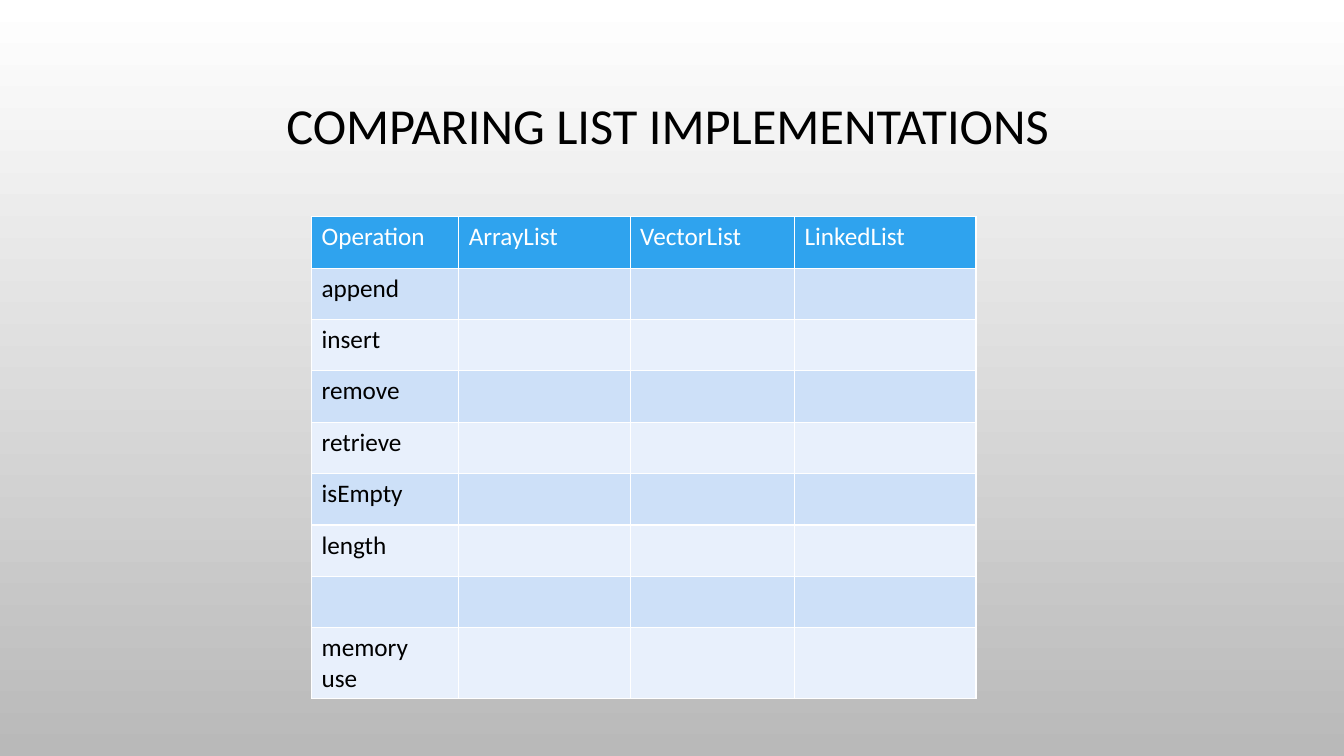
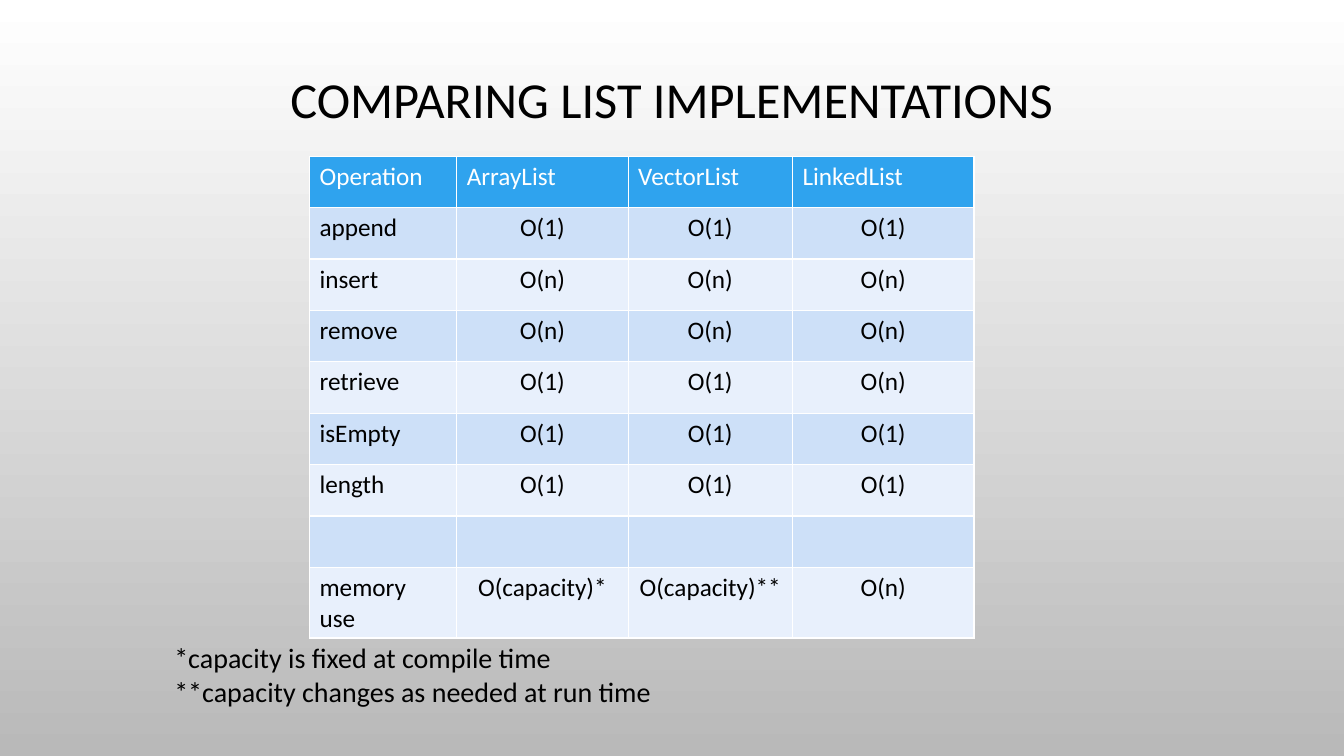
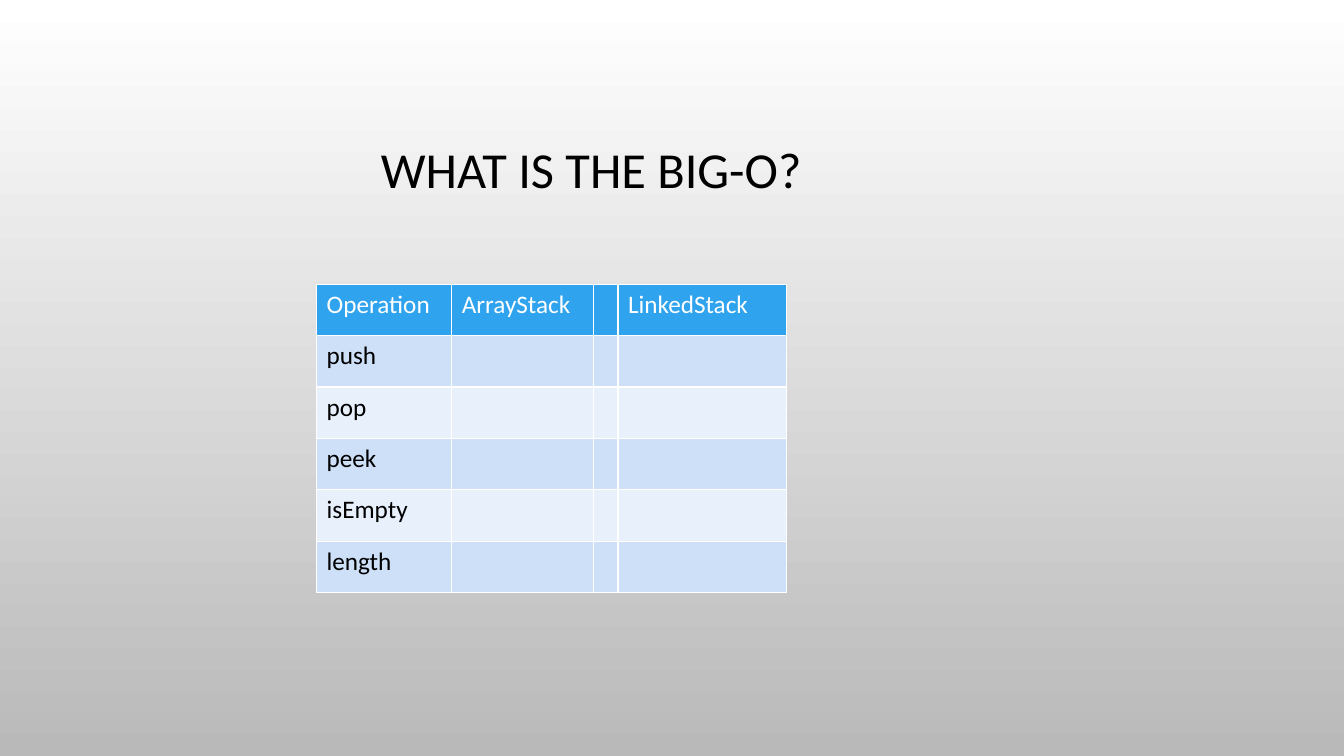
from pptx import Presentation
from pptx.dml.color import RGBColor
from pptx.enum.text import MSO_ANCHOR, PP_ALIGN
from pptx.util import Inches, Pt

WHITE = RGBColor(0xFF, 0xFF, 0xFF)
BLACK = RGBColor(0x00, 0x00, 0x00)
GREY = RGBColor(0xB9, 0xB9, 0xB9)
BLUE = RGBColor(0x2F, 0xA3, 0xEE)
BANDS = [RGBColor(0xE8, 0xF0, 0xFC), RGBColor(0xCD, 0xE0, 0xF8)]

FONT = "Calibri"
ROW_H = 0.51
LIST_COLS = [1.46, 1.7, 1.63, 1.8]
LIST_HEAD = ["Operation", "ArrayList", "VectorList", "LinkedList"]
LIST_TITLE = "COMPARING LIST IMPLEMENTATIONS"
LIST_COSTS = [
    ["append", "O(1)", "O(1)", "O(1)"],
    ["insert", "O(n)", "O(n)", "O(n)"],
    ["remove", "O(n)", "O(n)", "O(n)"],
    ["retrieve", "O(1)", "O(1)", "O(n)"],
    ["isEmpty", "O(1)", "O(1)", "O(1)"],
    ["length", "O(1)", "O(1)", "O(1)"],
    ["", "", "", ""],
    ["memory use", "O(capacity)*", "O(capacity)**", "O(n)"],
]
STACK_COLS = [1.34, 1.41, 0.23, 1.67]
STACK_HEAD = ["Operation", "ArrayStack", "", "LinkedStack"]
STACK_OPS = ["push", "pop", "peek", "isEmpty", "length"]


def paint_master(deck):
    """Give every slide the white-to-grey background."""
    fill = deck.slide_master.background.fill
    fill.gradient()
    fill.gradient_angle = 270
    for stop, color in zip(fill.gradient_stops, [WHITE, GREY]):
        stop.color.rgb = color


def set_font(para, size, color=BLACK):
    para.font.name = FONT
    para.font.size = Pt(size)
    para.font.color.rgb = color


def add_text(slide, text, left, top, width, height, size):
    box = slide.shapes.add_textbox(
        Inches(left), Inches(top), Inches(width), Inches(height))
    frame = box.text_frame
    frame.word_wrap = True
    frame.text = text
    for para in frame.paragraphs:
        set_font(para, size)
    return frame


def add_title(slide, text, left, top):
    frame = add_text(slide, text, left, top, 11.33, 1.75, 36)
    frame.vertical_anchor = MSO_ANCHOR.MIDDLE
    para = frame.paragraphs[0]
    para.alignment = PP_ALIGN.CENTER
    para.line_spacing = 0.9


def fill_cell(cell, text, fill, color, align):
    cell.fill.solid()
    cell.fill.fore_color.rgb = fill
    cell.text = text
    para = cell.text_frame.paragraphs[0]
    para.alignment = align
    set_font(para, 18, color)


def add_grid(slide, left, top, widths, head, body):
    rows = [head] + body
    table = slide.shapes.add_table(
        len(rows), len(widths), Inches(left), Inches(top),
        Inches(sum(widths)), Inches(ROW_H * len(rows))).table
    for col, width in zip(table.columns, widths):
        col.width = Inches(width)
    for r, row in enumerate(rows):
        table.rows[r].height = Inches(ROW_H)
        fill, color = (BANDS[r % 2], BLACK) if r else (BLUE, WHITE)
        for c, text in enumerate(row):
            align = PP_ALIGN.CENTER if r and c else PP_ALIGN.LEFT
            fill_cell(table.cell(r, c), text, fill, color, align)


def blank_rows(names):
    """Rows with a name and three cells left to fill in."""
    return [[name, "", "", ""] for name in names]


def main():
    deck = Presentation()
    deck.slide_width, deck.slide_height = Inches(13.33), Inches(7.5)
    paint_master(deck)
    layout = deck.slide_layouts[6]
    quiz, key, stack = [deck.slides.add_slide(layout) for _ in range(3)]

    add_title(quiz, LIST_TITLE, 0.96, 0.4)
    names = [row[0] for row in LIST_COSTS]
    add_grid(quiz, 3.09, 2.15, LIST_COLS, LIST_HEAD, blank_rows(names))

    add_title(key, LIST_TITLE, 1, 0.14)
    add_grid(key, 3.07, 1.55, LIST_COLS, LIST_HEAD, LIST_COSTS)
    add_text(key, "*capacity is fixed at compile time\n"
             "**capacity changes as needed at run time",
             1.63, 6.31, 5.51, 0.77, 20)

    add_title(stack, "WHAT IS THE BIG-O?", 0.2, 0.83)
    add_grid(stack, 3.14, 2.82, STACK_COLS, STACK_HEAD, blank_rows(STACK_OPS))

    deck.save("out.pptx")


if __name__ == "__main__":
    main()
